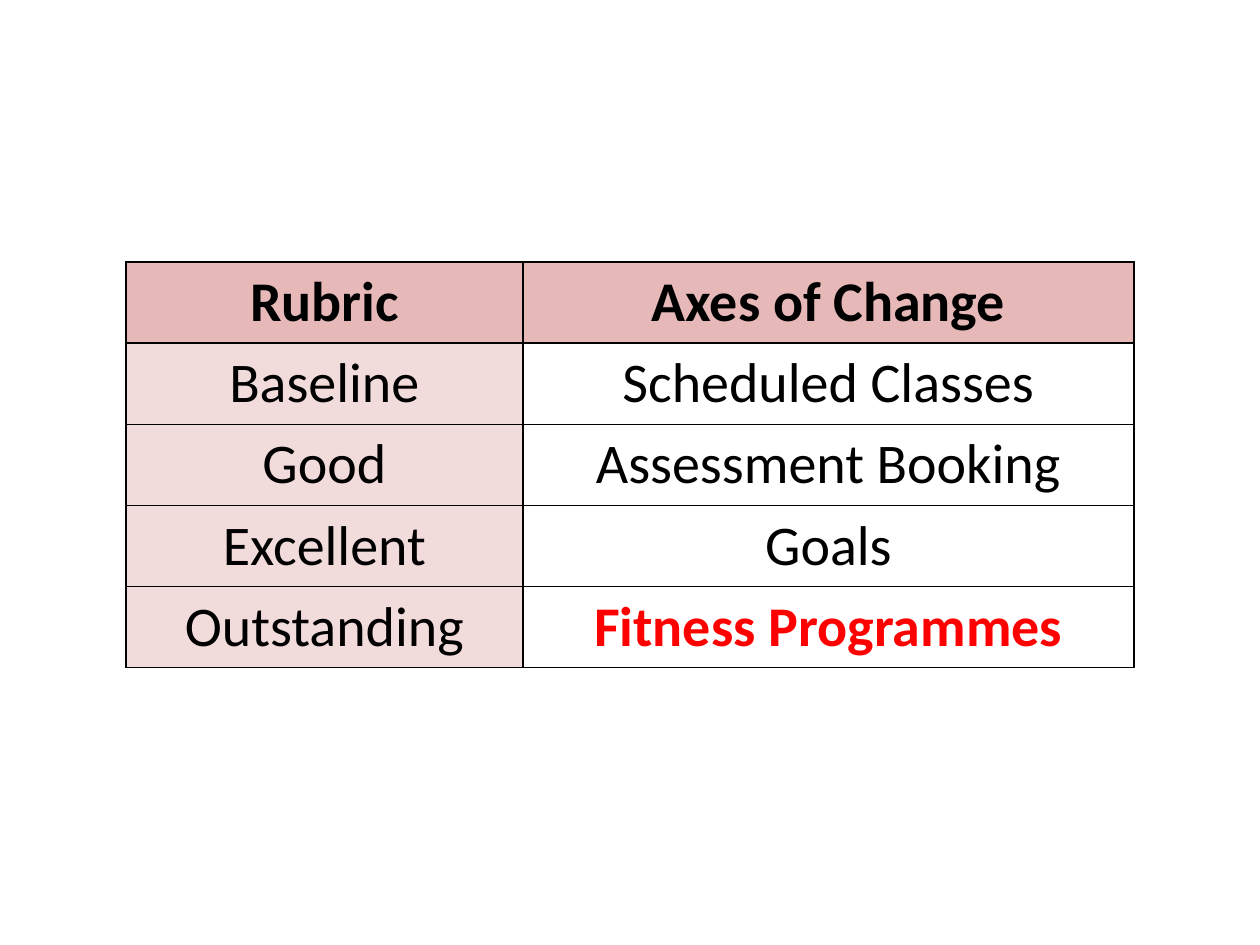
from lxml import etree
from pptx import Presentation
from pptx import util as u
from pptx.dml.color import RGBColor
from pptx.enum import text
from pptx.oxml.ns import qn


def colour(value):
    return RGBColor.from_string(value)


class SlideBuilder:
    font, size, ink = "Calibri", 32, "000000"
    border_width = 1

    def __init__(self, slide):
        self.slide = slide

    def border(self, cell):
        properties = cell._tc.get_or_add_tcPr()
        # Borders come before the fill in the cell properties
        for index, side in enumerate(("lnL", "lnR", "lnT", "lnB")):
            line = etree.Element(qn(f"a:{side}"), w=str(u.Pt(self.border_width)))
            fill = etree.SubElement(line, qn("a:solidFill"))
            etree.SubElement(fill, qn("a:srgbClr"), val=self.ink)
            properties.insert(index, line)

    def cell(self, cell, wording, fill=None, ink=None, bold=False):
        cell.text = wording
        paragraph = cell.text_frame.paragraphs[0]
        paragraph.alignment = text.PP_ALIGN.CENTER
        font = paragraph.font
        font.name, font.size, font.bold = self.font, u.Pt(self.size), bold
        font.color.rgb = colour(ink or self.ink)
        if fill:
            cell.fill.solid()
            cell.fill.fore_color.rgb = colour(fill)
        else:
            cell.fill.background()
        self.border(cell)

    def table(self, left, top, widths, row_height, rows, style):
        frame = self.slide.shapes.add_table(
            len(rows), len(widths), u.Inches(left), u.Inches(top),
            u.Inches(sum(widths)), u.Inches(row_height * len(rows)))
        table = frame.table
        table.horz_banding = False
        for column, width in zip(table.columns, widths):
            column.width = u.Inches(width)
        for r, row in enumerate(rows):
            table.rows[r].height = u.Inches(row_height)
            for c, wording in enumerate(row):
                self.cell(table.cell(r, c), wording, **style(r, c))


# Presentation
deck = Presentation()
deck.slide_width, deck.slide_height = u.Inches(10), u.Inches(7.5)
builder = SlideBuilder(deck.slides.add_slide(deck.slide_layouts[6]))

# Rubric levels and their axes of change
rubric = [
    ("Rubric", "Axes of Change"),
    ("Baseline", "Scheduled Classes"),
    ("Good", "Assessment Booking"),
    ("Excellent", "Goals"),
    ("Outstanding", "Fitness Programmes"),
]


def rubric_style(row, column):
    if row == 0:
        return {"fill": "E6B9B8", "bold": True}
    if column == 0:
        return {"fill": "F2DCDB"}
    if row == len(rubric) - 1:
        return {"ink": "FF0000", "bold": True}
    return {}


builder.table(1, 2.08, (3.15, 4.85), 0.64, rubric, rubric_style)

deck.save("out.pptx")
